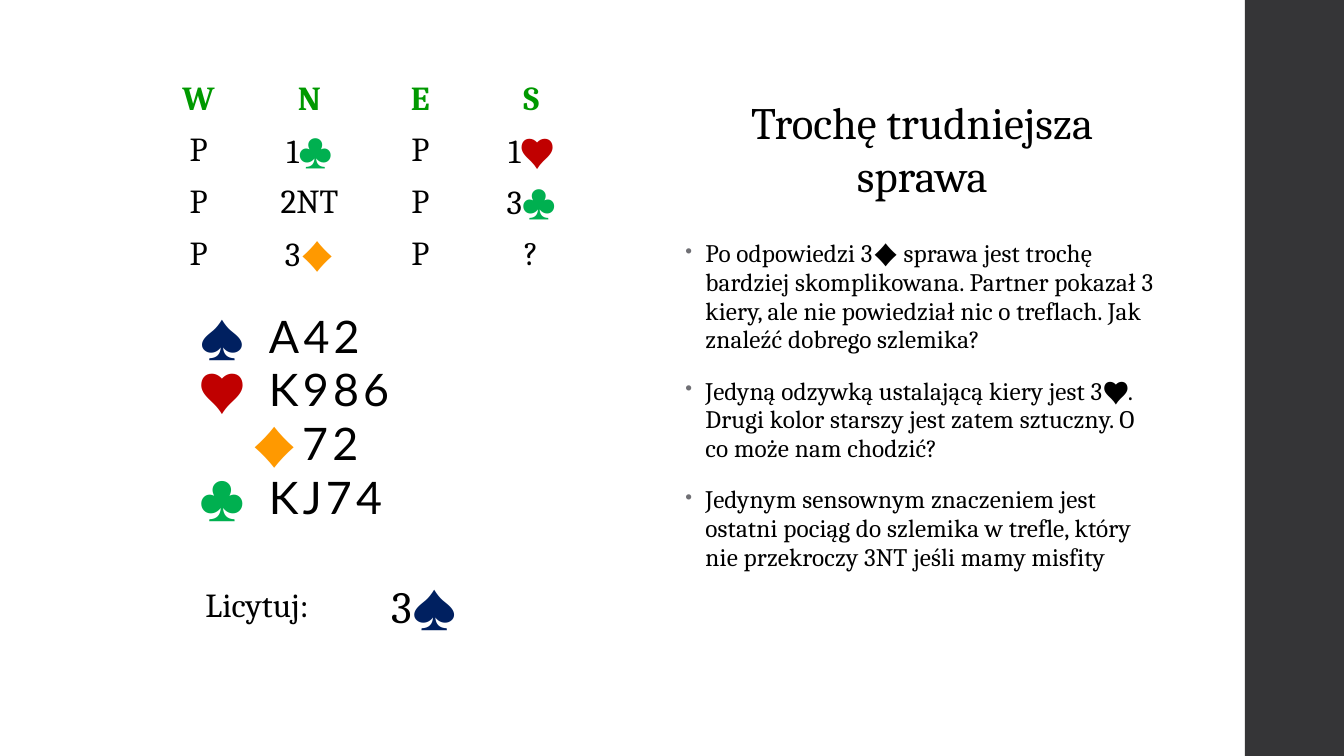
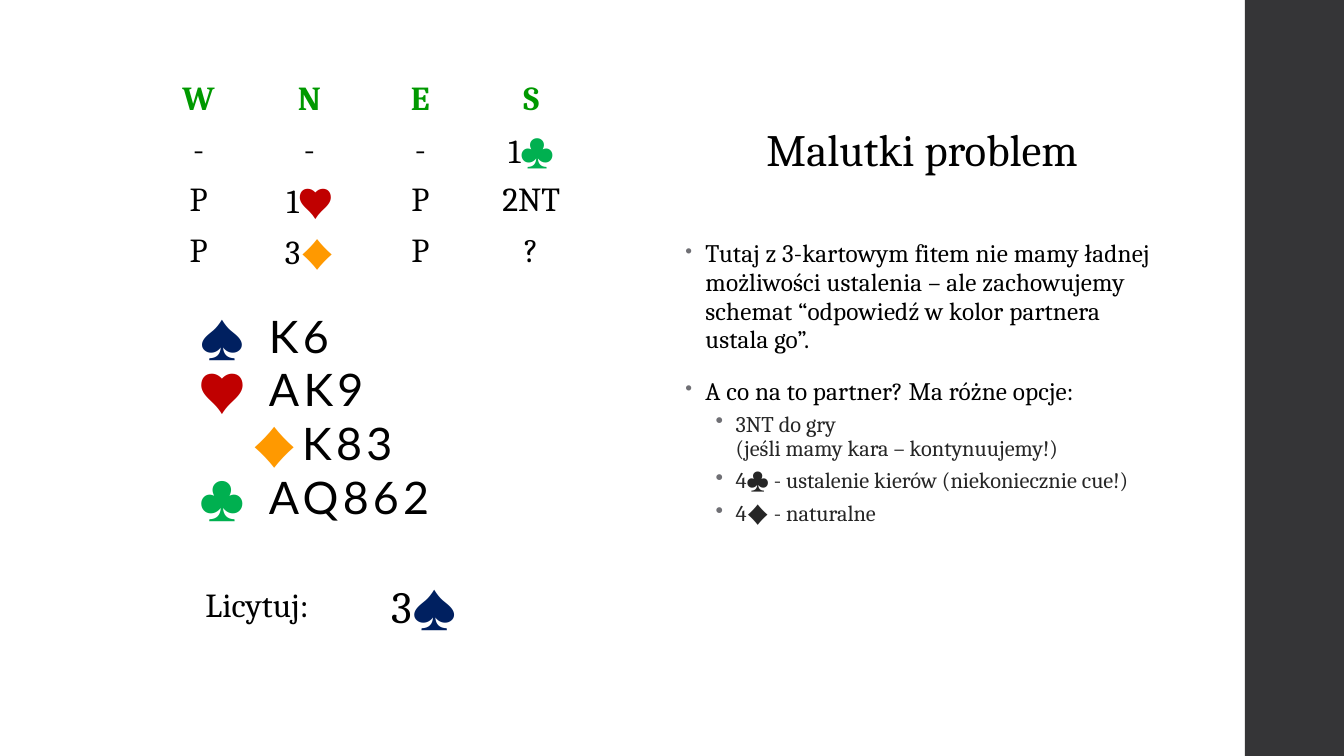
from dataclasses import dataclass, field
from itertools import groupby

from lxml.etree import SubElement
from pptx import Presentation
from pptx.dml.color import RGBColor
from pptx.enum.shapes import MSO_SHAPE as Shape
from pptx.enum.text import MSO_ANCHOR as Anchor, PP_ALIGN as Align
from pptx.oxml.ns import qn
from pptx.util import Inches, Pt

WIDTH, HEIGHT = 13.33, 7.5
COLS, ROWS = 40, 30


@dataclass(frozen=True)
class Theme:
    serif: str = "Cambria"
    sans: str = "Lato"
    ink: str = "000000"
    soft_ink: str = "262626"
    band: str = "353537"
    header: str = "009900"
    bullet: str = "6F6F74"
    title_size: int = 32
    table_size: int = 24
    body_size: int = 18
    option_size: int = 16
    suit_spacing: int = 3
    suits: dict = field(default_factory=lambda: {
        "♠": "002060", "♥": "C00000", "♦": "FF9900", "♣": "00B050"})


THEME = Theme()


def x(cols):
    return Inches(WIDTH * cols / COLS)


def y(rows):
    return Inches(HEIGHT * rows / ROWS)


def rgb(color):
    return RGBColor.from_string(color)


def add_text(p, text, size, font=THEME.serif, color=THEME.ink, bold=False, spacing=0):
    r = p.add_run()
    r.text = text
    r.font.size, r.font.name, r.font.bold = Pt(size), font, bold
    r.font.color.rgb = rgb(color)
    if spacing:
        r.font._element.set("spc", str(round(spacing * 100)))


def add_suited_text(p, text, size, **fmt):
    """Write text with every suit symbol in the colour of its suit."""
    for is_suit, chars in groupby(text, key=lambda c: c in THEME.suits):
        part = "".join(chars)
        if is_suit:
            add_text(p, part, size, THEME.sans, THEME.suits[part],
                     spacing=THEME.suit_spacing)
        else:
            add_text(p, part, size, **fmt)


def set_indent(p, left, first=0):
    pPr = p._p.get_or_add_pPr()
    pPr.set("marL", str(Inches(left)))
    pPr.set("indent", str(Inches(first)))
    return pPr


def add_bullet(p, left, scale):
    pPr = set_indent(p, left, -0.2)
    clr = SubElement(pPr, qn("a:buClr"))
    SubElement(clr, qn("a:srgbClr")).set("val", THEME.bullet)
    SubElement(pPr, qn("a:buSzPct")).set("val", str(scale * 1000))
    SubElement(pPr, qn("a:buChar")).set("char", "•")


def add_tabs(p, *stops):
    tabs = SubElement(p._p.get_or_add_pPr(), qn("a:tabLst"))
    for pos, side in stops:
        tab = SubElement(tabs, qn("a:tab"))
        tab.set("pos", str(Inches(pos)))
        tab.set("algn", side)


class Deck:
    def __init__(self):
        self.prs = Presentation()
        self.prs.slide_width, self.prs.slide_height = Inches(WIDTH), Inches(HEIGHT)
        self.s = None

    def new_slide(self):
        self.s = self.prs.slides.add_slide(self.prs.slide_layouts[6])
        left = x(37.05)
        band = self.s.shapes.add_shape(
            Shape.RECTANGLE, left, 0, self.prs.slide_width - left, self.prs.slide_height)
        band.shadow.inherit = False
        band.fill.solid()
        band.fill.fore_color.rgb = rgb(THEME.band)
        band.line.fill.background()

    def text_box(self, left, top, width, height, anchor=Anchor.TOP):
        tf = self.s.shapes.add_textbox(x(left), y(top), x(width), y(height)).text_frame
        tf.word_wrap = True
        tf.vertical_anchor = anchor
        return tf

    def paragraphs(self, tf, items):
        """Yield a paragraph of the frame with each item."""
        for i, item in enumerate(items):
            yield (tf.add_paragraph() if i else tf.paragraphs[0]), item

    def title(self, text):
        p = self.text_box(20.1, 3.52, 14.7, 4.72, Anchor.MIDDLE).paragraphs[0]
        p.alignment = Align.CENTER
        add_text(p, text, THEME.title_size)

    def table(self, left, top, widths, row_height, n_rows):
        """Add a plain table and return its rows of cells."""
        frame = self.s.shapes.add_table(n_rows, len(widths), x(left), y(top),
                                        x(sum(widths)), y(row_height * n_rows))
        tbl = frame.table
        tbl.first_row = tbl.horz_banding = False
        for col, width in zip(tbl.columns, widths):
            col.width = x(width)
        for cell in tbl.iter_cells():
            cell.fill.background()
            cell.vertical_anchor = Anchor.MIDDLE
        return [list(row.cells) for row in tbl.rows]

    def auction(self, calls):
        lines = ["W N E S"] + calls
        rows = self.table(4.26, 2.96, [3.3] * 4, 2, len(lines))
        for i, (cells, line) in enumerate(zip(rows, lines)):
            fmt = {} if i else {"color": THEME.header, "bold": True}
            for cell, call in zip(cells, line.split()):
                p = cell.text_frame.paragraphs[0]
                p.alignment = Align.CENTER
                add_suited_text(p, call, THEME.table_size, **fmt)

    def hand(self, holdings):
        tf = self.text_box(5.61, 12.04, 10.47, 9.04)
        for p, (suit, cards) in self.paragraphs(tf, zip(THEME.suits, holdings)):
            if suit == "♦":
                set_indent(p, 0.03)
            add_tabs(p, (0.5, "r"), (0.7, "l"))
            add_suited_text(p, f"\t{suit}\t{cards}", THEME.title_size,
                            font=THEME.sans, spacing=THEME.suit_spacing)

    def answer(self, bid):
        label, call = self.table(3.96, 22.8, [7.38, 4.74], 2.52, 1)[0]
        p = label.text_frame.paragraphs[0]
        p.alignment = Align.CENTER
        add_text(p, "Licytuj:", THEME.table_size)
        add_suited_text(call.text_frame.paragraphs[0], bid, THEME.title_size)

    def body(self, points, options):
        tf = self.text_box(20.1, 9.32, 14.7, 18.04)
        items = [(t, False) for t in points] + [(t, True) for t in options]
        for i, (p, (text, is_option)) in enumerate(self.paragraphs(tf, items)):
            before, after = (3, 3) if is_option else (14, 2)
            p.line_spacing = 0.9 if is_option else 0.95
            p.space_before, p.space_after = Pt(before if i else 0), Pt(after)
            if is_option:
                p.level = 1
                add_bullet(p, 0.5, 100)
                fmt = {"size": THEME.option_size, "color": THEME.soft_ink}
            else:
                add_bullet(p, 0.2, 80)
                fmt = {"size": THEME.body_size, "spacing": 0.1}
            for j, line in enumerate(text.split("\n")):
                if j:
                    p.add_line_break()
                add_text(p, line, **fmt)

    def problem(self, title, calls, holdings, bid, points, options=()):
        self.new_slide()
        self.auction(calls)
        self.body(points, options)
        self.hand(holdings)
        self.title(title)
        self.answer(bid)


def main():
    deck = Deck()
    deck.problem(
        "Trochę trudniejsza sprawa",
        calls=["P 1♣ P 1♥", "P 2NT P 3♣", "P 3♦ P ?"],
        holdings=["A42", "K986", "72", "KJ74"],
        bid="3♠",
        points=[
            "Po odpowiedzi 3♦ sprawa jest trochę bardziej skomplikowana. Partner "
            "pokazał 3 kiery, ale nie powiedział nic o treflach. Jak znaleźć "
            "dobrego szlemika?",
            "Jedyną odzywką ustalającą kiery jest 3♥. Drugi kolor starszy jest "
            "zatem sztuczny. O co może nam chodzić?",
            "Jedynym sensownym znaczeniem jest ostatni pociąg do szlemika w trefle, "
            "który nie przekroczy 3NT jeśli mamy misfity",
        ],
    )
    deck.problem(
        "Malutki problem",
        calls=["- - - 1♣", "P 1♥ P 2NT", "P 3♦ P ?"],
        holdings=["K6", "AK9", "K83", "AQ862"],
        bid="3♠",
        points=[
            "Tutaj z 3-kartowym fitem nie mamy ładnej możliwości ustalenia – ale "
            "zachowujemy schemat “odpowiedź w kolor partnera ustala go”.",
            "A co na to partner? Ma różne opcje:",
        ],
        options=[
            "3NT do gry\n(jeśli mamy kara – kontynuujemy!)",
            "4♣ - ustalenie kierów (niekoniecznie cue!)",
            "4♦ - naturalne",
        ],
    )
    deck.prs.save("out.pptx")


if __name__ == "__main__":
    main()
